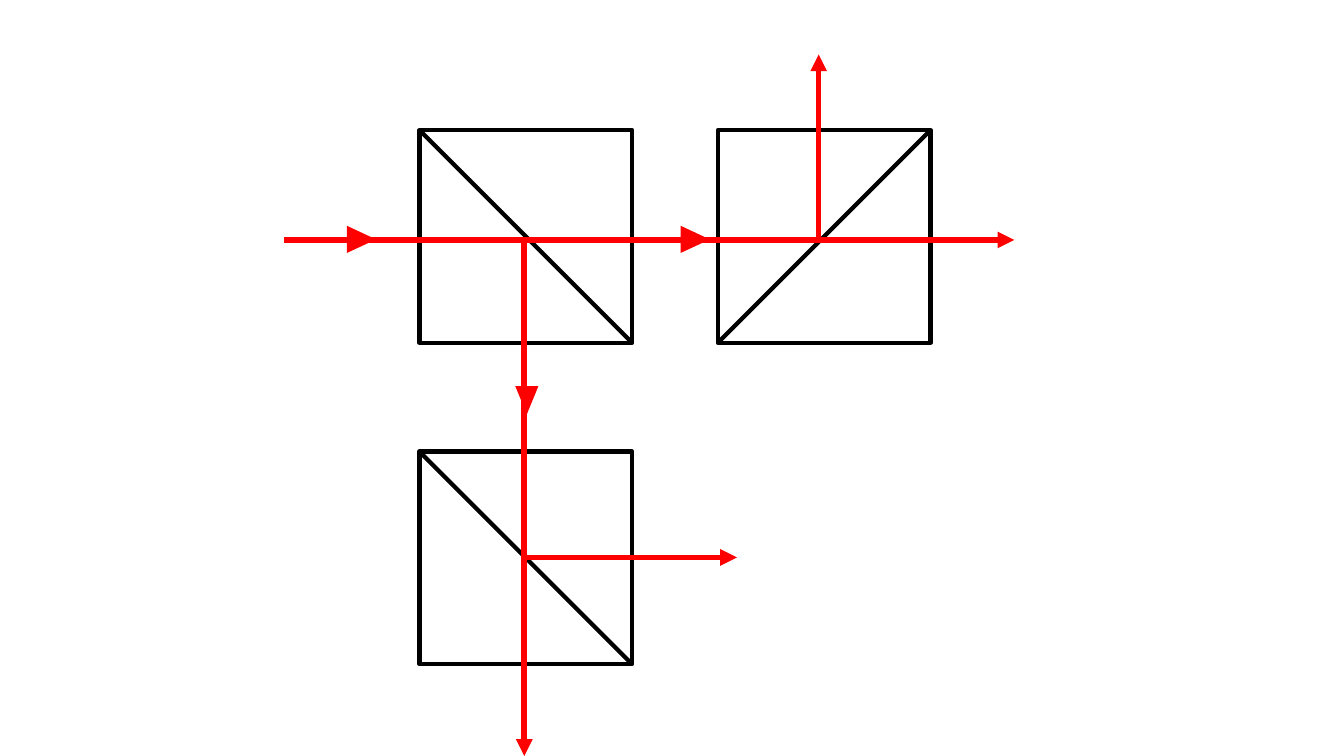
"""Draw light rays passing through three beam-splitter cubes."""
from typing import NamedTuple

from lxml import etree
from pptx import Presentation
from pptx import util as u
from pptx.dml.color import RGBColor
from pptx.enum import shapes
from pptx.oxml import ns

COLUMNS, ROWS = 1333, 750
CUBE_SIDE = 211
BLACK, WHITE, RED = "000000", "FFFFFF", "FF0000"


class Cube(NamedTuple):
    """A beam splitter by its corner; the mirror falls or rises rightwards."""
    column: int
    row: int
    falling: bool


class Ray(NamedTuple):
    """A light path from its start to its arrow tip."""
    start: tuple[int, int]
    tip: tuple[int, int]


class Marker(NamedTuple):
    """A triangle showing the direction of travel along a ray."""
    column: int
    row: int
    width: int
    height: int
    rotation: int


LEFT, RIGHT, TOP, BOTTOM = 416, 712, 129, 448
BEAM_ROW, LOWER_ROW = 238, 553
DOWN_COLUMN, UP_COLUMN = 520, 812

CUBES = [
    Cube(LEFT, TOP, True),
    Cube(LEFT, BOTTOM, True),
    Cube(RIGHT, TOP, False),
]
RAYS = [
    Ray((DOWN_COLUMN, BEAM_ROW), (DOWN_COLUMN, ROWS)),
    Ray((282, BEAM_ROW), (1006, BEAM_ROW)),
    Ray((UP_COLUMN, BEAM_ROW), (UP_COLUMN, 54)),
    Ray((DOWN_COLUMN, LOWER_ROW), (731, LOWER_ROW)),
]
MARKERS = [
    Marker(511, 383, 23, 28, 180),
    Marker(345, 223, 27, 29, 90),
    Marker(676, 223, 27, 29, 90),
]

deck = Presentation()
deck.slide_width, deck.slide_height = u.Inches(13.33), u.Inches(7.5)
slide = deck.slides.add_slide(deck.slide_layouts[6])


def across(columns: int) -> int:
    """Turn grid columns into a length."""
    return round(deck.slide_width * columns / COLUMNS)


def down(rows: int) -> int:
    """Turn grid rows into a length."""
    return round(deck.slide_height * rows / ROWS)


def paint(format_part, colour: str) -> None:
    """Give a fill a solid colour."""
    format_part.solid()
    format_part.fore_color.rgb = RGBColor.from_string(colour)


def draw_line(start: tuple[int, int], end: tuple[int, int], colour: str,
              points: int, arrow: bool = False) -> None:
    """Draw a straight line, with an arrowhead at its end if wanted."""
    line = slide.shapes.add_connector(
        shapes.MSO_CONNECTOR.STRAIGHT,
        across(start[0]), down(start[1]), across(end[0]), down(end[1]))
    paint(line.line.fill, colour)
    line.line.width = u.Pt(points)
    if arrow:
        head = etree.SubElement(line.line._get_or_add_ln(), ns.qn("a:tailEnd"))
        head.set("type", "triangle")
    etree.SubElement(line._element.spPr, ns.qn("a:effectLst"))


def draw_cube(cube: Cube) -> None:
    """Draw a cube outline and its diagonal mirror."""
    outline = slide.shapes.add_shape(
        shapes.MSO_SHAPE.RECTANGLE, across(cube.column), down(cube.row),
        across(CUBE_SIDE), down(CUBE_SIDE))
    outline.shadow.inherit = False
    paint(outline.fill, WHITE)
    paint(outline.line.fill, BLACK)
    outline.line.width = u.Pt(3)
    right, bottom = cube.column + CUBE_SIDE, cube.row + CUBE_SIDE
    start_row, end_row = (cube.row, bottom) if cube.falling else (bottom, cube.row)
    draw_line((cube.column, start_row), (right, end_row), BLACK, 3)


def draw_marker(marker: Marker) -> None:
    """Draw a direction triangle."""
    triangle = slide.shapes.add_shape(
        shapes.MSO_SHAPE.ISOSCELES_TRIANGLE, across(marker.column),
        down(marker.row), across(marker.width), down(marker.height))
    triangle.rotation = marker.rotation
    triangle.shadow.inherit = False
    paint(triangle.fill, RED)
    triangle.line.fill.background()


def main() -> None:
    """Build the slide and save it."""
    for cube in CUBES:
        draw_cube(cube)
    for ray in RAYS:
        draw_line(ray.start, ray.tip, RED, 4, arrow=True)
    for marker in MARKERS:
        draw_marker(marker)
    deck.save("out.pptx")


if __name__ == "__main__":
    main()
